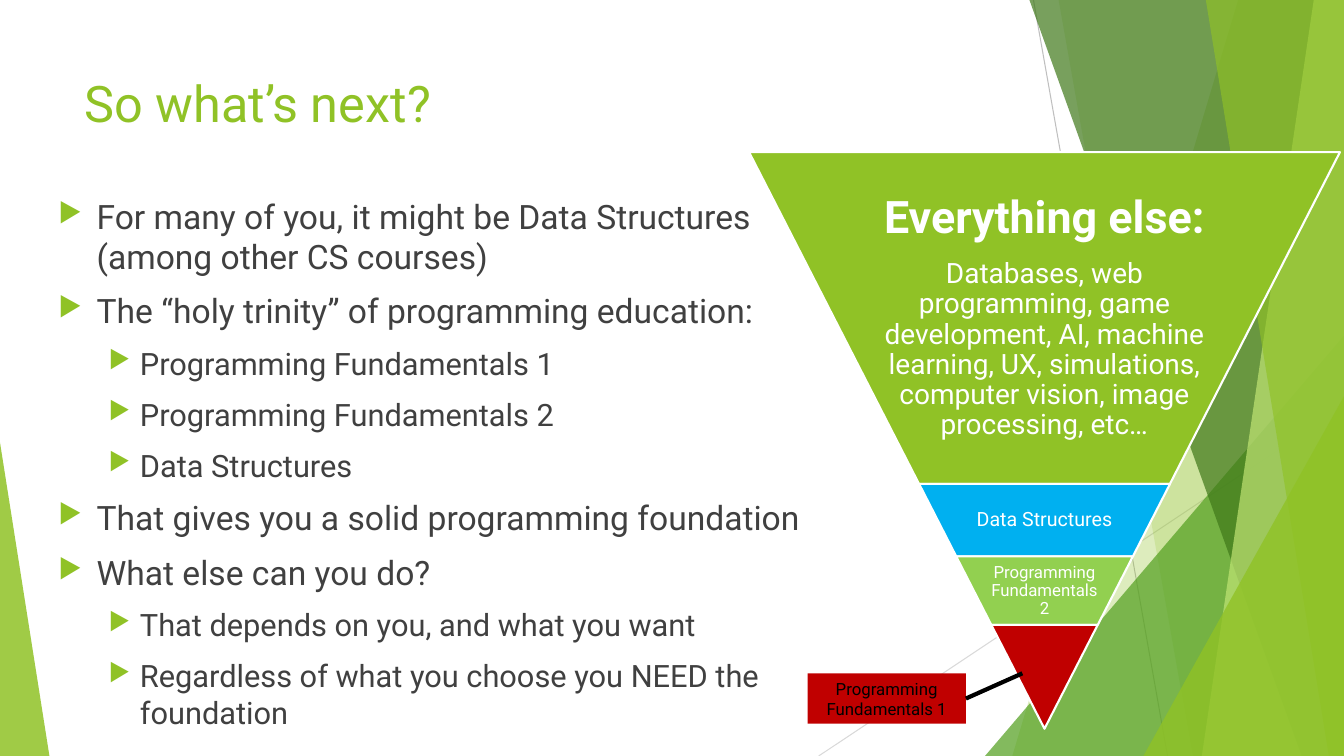
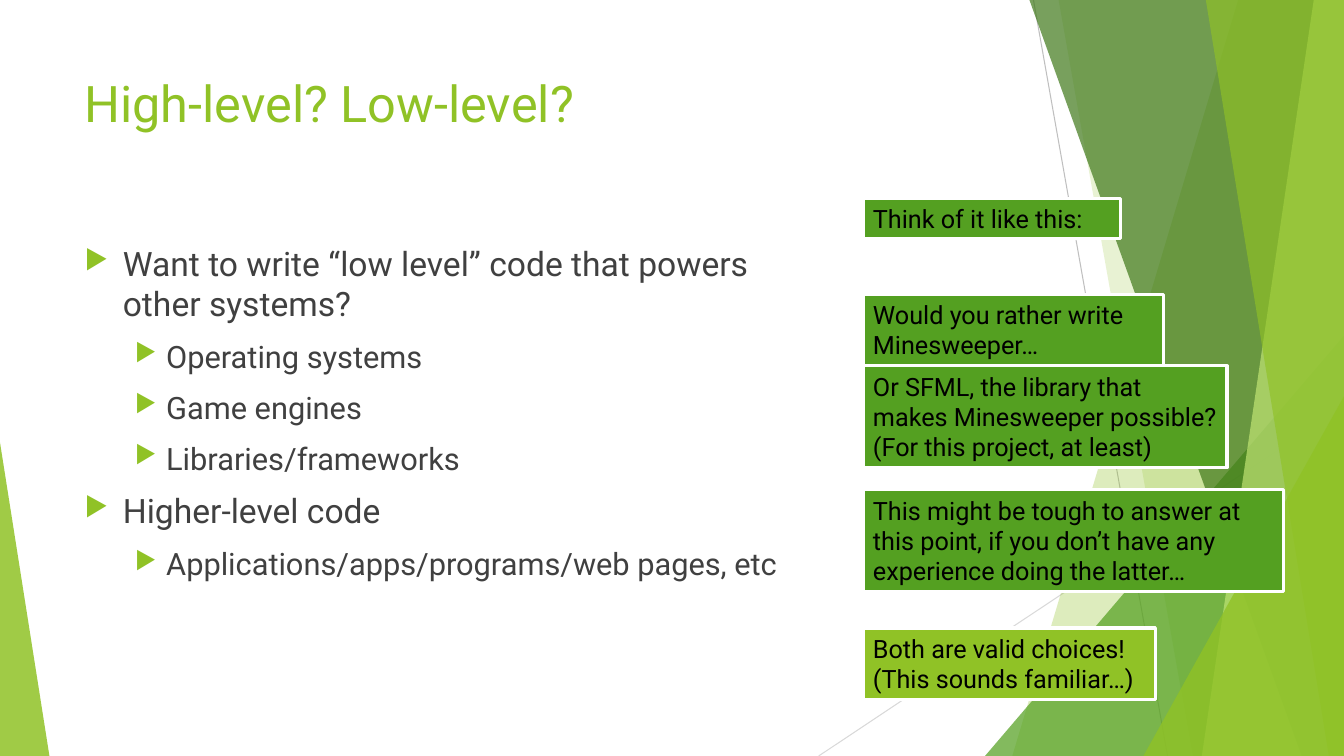
from lxml import etree
from pptx import Presentation
from pptx.dml.color import RGBColor
from pptx.enum import shapes, text
from pptx.oxml import ns
from pptx.util import Inches, Pt

WIDE, HIGH = 13.33, 7.5
FONT = "Roboto"
HUES = {
    "lime": "90C226", "green": "54A021", "dark": "3F7819", "pale": "C0E474",
    "leaf": "92D050", "blue": "00B0F0", "red": "C00000", "white": "FFFFFF",
    "black": "000000", "ink": "404040", "grey": "BFBFBF", "mist": "D9D9D9",
}


def hue(name):
    """Return the named colour."""
    return RGBColor.from_string(HUES[name])


def add(parent, tag, **attrs):
    """Append a drawing element to a parent."""
    node = etree.SubElement(parent, ns.qn(tag))
    for key, value in attrs.items():
        node.set(key, str(value))
    return node


def paint(shape, fill, alpha=100, line=None, width=1.5):
    """Give a shape its fill, opacity and outline."""
    shape.shadow.inherit = False
    shape.fill.solid()
    shape.fill.fore_color.rgb = hue(fill)
    if alpha < 100:
        color = shape._element.spPr.find(".//" + ns.qn("a:srgbClr"))
        add(color, "a:alpha", val=alpha * 1000)
    if line:
        shape.line.color.rgb = hue(line)
        shape.line.width = Pt(width)
    else:
        shape.line.fill.background()


def block(slide, kind, box, fill, **look):
    """Add a painted preset shape."""
    shape = slide.shapes.add_shape(kind, *map(Inches, box))
    paint(shape, fill, **look)
    return shape


def outline(slide, points, fill, **look):
    """Add a painted polygon."""
    spots = [(Inches(x), Inches(y)) for x, y in points]
    pen = slide.shapes.build_freeform(*spots[0])
    pen.add_line_segments(spots[1:], close=True)
    shape = pen.convert_to_shape()
    paint(shape, fill, **look)
    return shape


def rule(slide, start, end, color, width):
    """Add a straight line."""
    line = slide.shapes.add_connector(
        shapes.MSO_CONNECTOR.STRAIGHT, *map(Inches, start + end))
    line.line.color.rgb = hue(color)
    line.line.width = Pt(width)
    add(line._element.spPr, "a:effectLst")


def frame(shape, pads=(0.1, 0.05, 0.1, 0.05), anchor=text.MSO_ANCHOR.TOP):
    """Set wrapping, insets and anchor, and return the text frame."""
    area = shape.text_frame
    area.word_wrap = True
    area.vertical_anchor = anchor
    (area.margin_left, area.margin_top,
     area.margin_right, area.margin_bottom) = map(Inches, pads)
    return area


def style(para, words, size, color, align=text.PP_ALIGN.LEFT, bold=False):
    """Write one paragraph in one font."""
    para.text = words
    para.alignment = align
    para.font.name = FONT
    para.font.size = Pt(size)
    para.font.bold = bold
    para.font.color.rgb = hue(color)


def paras(area, items):
    """Yield a paragraph for each item, starting with the first one."""
    for i, item in enumerate(items):
        yield (area.add_paragraph() if i else area.paragraphs[0]), item


def band(slide, top, base, fill, alpha):
    """Add a facet that runs from a slanted edge to the right side."""
    points = [(top, 0), (WIDE, 0), (WIDE, HIGH), (base, HIGH)]
    outline(slide, points, fill, alpha=alpha)


def wedge(slide, left, top, width, peak, fill, alpha):
    """Add a corner triangle that stands on the bottom edge."""
    box = (left, top, width, HIGH - top)
    kind = shapes.MSO_SHAPE.ISOSCELES_TRIANGLE
    block(slide, kind, box, fill, alpha=alpha).adjustments[0] = peak


def decor(slide):
    """Draw the shared facets."""
    rule(slide, (10.25, 0), (11.58, HIGH), "grey", 0.75)
    rule(slide, (WIDE, 4.03), (8.12, HIGH), "mist", 0.75)
    band(slide, 12.28, 10.04, "lime", 30)
    band(slide, 10.5, 11.83, "lime", 20)
    wedge(slide, 9.77, 3.33, 3.56, 1, "green", 72)
    band(slide, 10.21, 12.91, "dark", 70)
    band(slide, 13.03, 11.92, "pale", 70)
    band(slide, 11.96, 13.18, "lime", 65)
    wedge(slide, 11.34, 3.93, 1.99, 1, "lime", 80)
    wedge(slide, 0, 4.39, 0.49, 0, "lime", 85)


def page(deck, title):
    """Add a slide with the facets and a title."""
    slide = deck.slides.add_slide(deck.slide_layouts[6])
    decor(slide)
    box = slide.shapes.add_textbox(*map(Inches, (0.74, 0.67, 9.4, 1.44)))
    style(frame(box).paragraphs[0], title, 36, "lime")
    return slide


def points(slide, box, items):
    """Write a two-level bullet list."""
    area = frame(slide.shapes.add_textbox(*map(Inches, box)))
    for i, (para, (level, words)) in enumerate(paras(area, items)):
        left, hang, size = ((0.38, 0.38, 24), (0.81, 0.31, 22))[level]
        para.level = level
        props = para._p.get_or_add_pPr()
        props.set("marL", str(Inches(left)))
        props.set("indent", str(-Inches(hang)))
        add(add(props, "a:buClr"), "a:srgbClr", val=HUES["lime"])
        add(props, "a:buSzPct", val=80000)
        add(props, "a:buChar", char="▶")
        para.space_before = Pt(10 if i else 0)
        style(para, words, size, "ink")


def funnel(slide, box, tiers):
    """Cut an inverted triangle into tiers, each with its own text."""
    left, top, width, height = box
    mid, tip = left + width / 2, top + height

    def half(y):
        """Return half the funnel width at a height."""
        return (tip - y) * width / height / 2

    for start, end, fill, pad, lines in tiers:
        a, b = half(start), half(end)
        corners = [(mid + a, start), (mid + b, end),
                   (mid - b, end), (mid - a, start)]
        if not b:
            del corners[2]
        shape = outline(slide, corners, fill, line="white")
        area = frame(shape, (pad, 0.02, pad, 0.02), text.MSO_ANCHOR.MIDDLE)
        for para, (words, size, bold) in paras(area, lines):
            para.line_spacing = 0.9
            para.space_after = Pt(size * 0.35 if bold else 0)
            style(para, words, size, "white", text.PP_ALIGN.CENTER, bold)


def label(slide, box, words, tip):
    """Add a red label and the line that ties it to a spot."""
    shape = block(slide, shapes.MSO_SHAPE.RECTANGLE, box, "red")
    area = frame(shape, anchor=text.MSO_ANCHOR.MIDDLE)
    style(area.paragraphs[0], words, 12, "black", text.PP_ALIGN.CENTER)
    left, top, width, height = box
    rule(slide, tip, (left + width, top + height / 2), "black", 3)


def notes(slide, left, items):
    """Add a column of framed remarks."""
    for top, width, height, fill, words in items:
        shape = block(slide, shapes.MSO_SHAPE.RECTANGLE,
                      (left, top, width, height), fill,
                      line="white", width=2.25)
        area = frame(shape, (0.1, 0.05, 0.07, 0.05))
        style(area.paragraphs[0], words, 18, "black")


def main():
    """Build and save both slides."""
    deck = Presentation()
    deck.slide_width, deck.slide_height = Inches(WIDE), Inches(HIGH)

    slide = page(deck, "So what’s next?")
    points(slide, (0.48, 1.89, 7.8, 5.17), [
        (0, "For many of you, it might be Data Structures "
            "(among other CS courses)"),
        (0, "The “holy trinity” of programming education:"),
        (1, "Programming Fundamentals 1"),
        (1, "Programming Fundamentals 2"),
        (1, "Data Structures"),
        (0, "That gives you a solid programming foundation"),
        (0, "What else can you do?"),
        (1, "That depends on you, and what you want"),
        (1, "Regardless of what you choose you NEED the foundation"),
    ])
    top, tip = 1.51, 7.23
    funnel(slide, (7.43, top, 5.86, tip - top), [
        (top, 4.8, "lime", 1.27, [
            ("Everything else:", 32, True),
            ("Databases, web programming, game development, AI, machine "
             "learning, UX, simulations, computer vision, image "
             "processing, etc…", 20, False)]),
        (4.8, 5.52, "blue", 0.46, [("Data Structures", 14, False)]),
        (5.52, 6.2, "leaf", 0.33,
         [("Programming\nFundamentals 2", 12, False)]),
        (6.2, tip, "red", 0, []),
    ])
    label(slide, (8.01, 6.68, 1.57, 0.5), "Programming\nFundamentals 1",
          (10.14, 6.68))

    slide = page(deck, "High-level? Low-level?")
    points(slide, (0.74, 2.36, 7.28, 4.24), [
        (0, "Want to write “low level” code that powers other systems?"),
        (1, "Operating systems"),
        (1, "Game engines"),
        (1, "Libraries/frameworks"),
        (0, "Higher-level code"),
        (1, "Applications/apps/programs/web pages, etc"),
    ])
    notes(slide, 8.56, [
        (1.97, 2.55, 0.4, "green", "Think of it like this:"),
        (2.92, 2.98, 0.71, "green", "Would you rather write Minesweeper…"),
        (3.63, 3.61, 1.01, "green",
         "Or SFML, the library that makes Minesweeper possible?\n"
         "(For this project, at least)"),
        (4.86, 4.17, 1.01, "green",
         "This might be tough to answer at this point, if you don’t have "
         "any experience doing the latter…"),
        (6.23, 2.9, 0.71, "lime",
         "Both are valid choices!\n(This sounds familiar…)"),
    ])
    deck.save("out.pptx")


if __name__ == "__main__":
    main()
